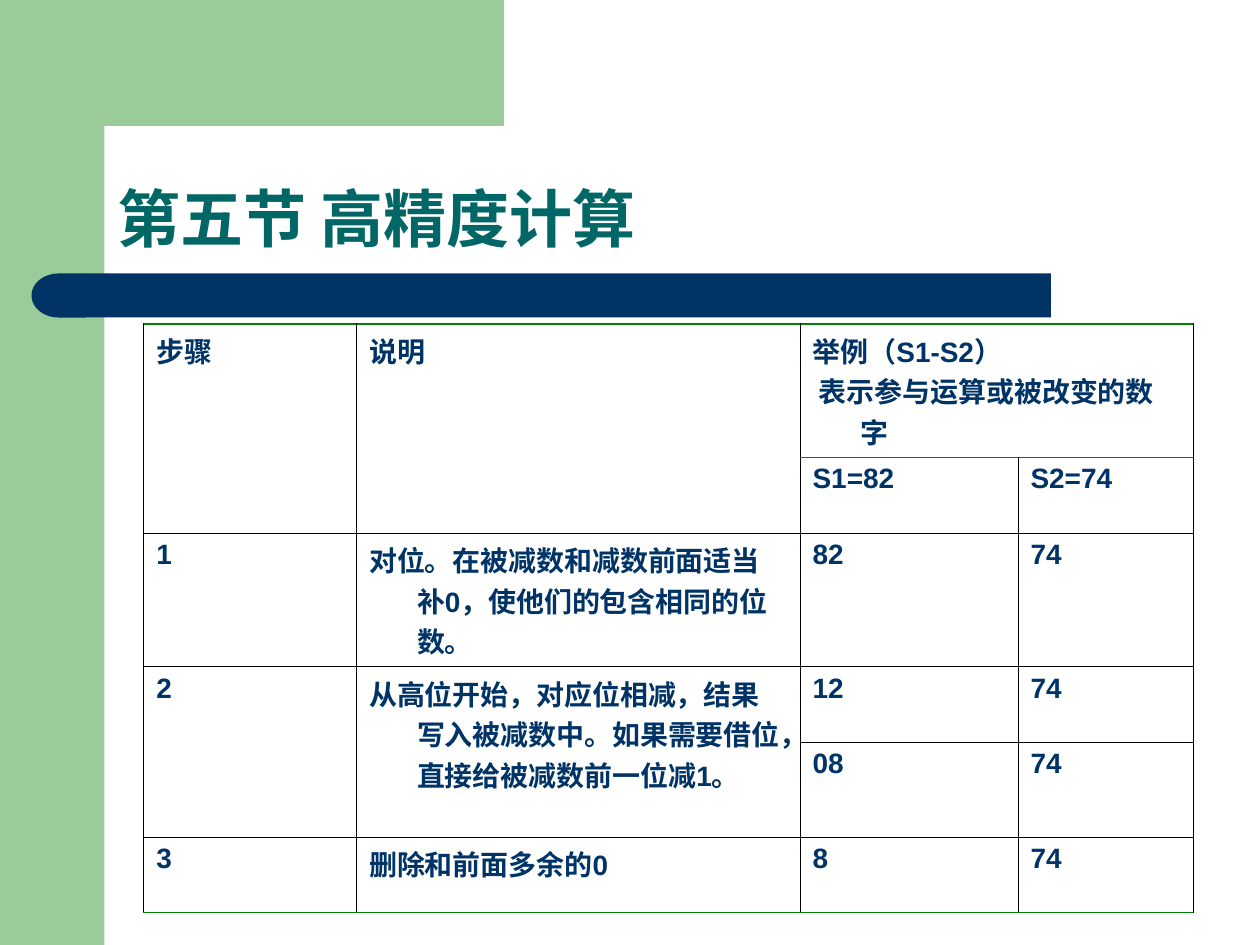
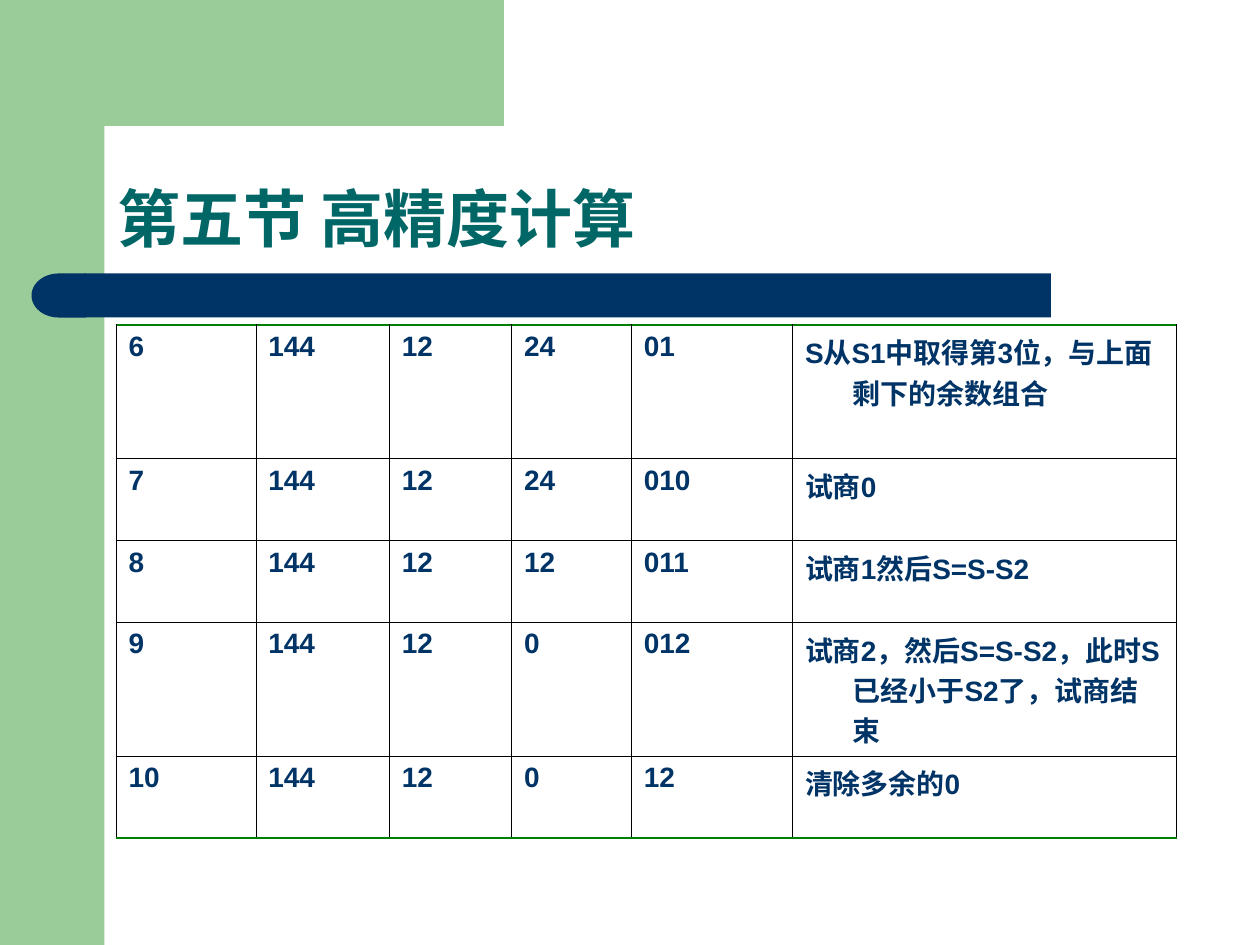
from math import cos, pi, sin

from lxml import etree
from pptx import Presentation
from pptx.dml.color import RGBColor
from pptx.enum.shapes import MSO_SHAPE
from pptx.enum.text import MSO_ANCHOR, MSO_AUTO_SIZE, PP_ALIGN
from pptx.oxml.ns import qn
from pptx.util import Inches, Pt

RECTANGLE = MSO_SHAPE.RECTANGLE
DELAY = MSO_SHAPE.FLOWCHART_DELAY
BOTTOM = MSO_ANCHOR.BOTTOM
LEFT = PP_ALIGN.LEFT
NO_AUTOFIT = MSO_AUTO_SIZE.NONE

LIGHT_GREEN = RGBColor(0x99, 0xCC, 0x99)
NAVY = RGBColor(0x00, 0x33, 0x66)
TEAL = RGBColor(0x00, 0x66, 0x66)
GREEN = RGBColor(0x00, 0x80, 0x00)
BLACK = RGBColor(0x00, 0x00, 0x00)

FONT = "Arial"
TITLE = "第五节 高精度计算"
GRID_LINE = (BLACK, 0.34)
OUTER_LINE = (GREEN, 0.96)
HEADER_LINE = (GREEN, 0.45)

SUBTRACTION_ROWS = [
    ["步骤", "说明", "举例（S1-S2）\n 表示参与运算或被改变的数字", ""],
    ["", "", "S1=82", "S2=74"],
    ["1", "对位。在被减数和减数前面适当补0，使他们的包含相同的位数。", "82", "74"],
    ["2", "从高位开始，对应位相减，结果写入被减数中。如果需要借位，直接给被减数前一位减1。",
     "12", "74"],
    ["", "", "08", "74"],
    ["3", "删除和前面多余的0", "8", "74"],
]
SUBTRACTION_MERGES = [
    ((0, 0), (1, 0)), ((0, 1), (1, 1)), ((0, 2), (0, 3)),
    ((3, 0), (4, 0)), ((3, 1), (4, 1)),
]
DIVISION_ROWS = [
    ["6", "144", "12", "24", "01", "S从S1中取得第3位，与上面剩下的余数组合"],
    ["7", "144", "12", "24", "010", "试商0"],
    ["8", "144", "12", "12", "011", "试商1然后S=S-S2"],
    ["9", "144", "12", "0", "012", "试商2，然后S=S-S2，此时S已经小于S2了，试商结束"],
    ["10", "144", "12", "0", "12", "清除多余的0"],
]


class LessonDeck:
    def __init__(self):
        self.deck = Presentation()
        self.deck.slide_width = Inches(10)
        self.deck.slide_height = Inches(7.5)
        self.page = None

    def add_page(self, title):
        self.page = self.deck.slides.add_slide(self.deck.slide_layouts[5])
        self.add_block(RECTANGLE, 0, 0, 0.83, 7.5, LIGHT_GREEN)
        self.add_corner()
        self.add_block(RECTANGLE, 0.67, 2.17, 7.67, 0.35, NAVY)
        self.add_block(DELAY, 0.25, 2.17, 0.43, 0.35, NAVY).rotation = 180
        self.add_title(title)

    def paint(self, shape, color):
        shape.shadow.inherit = False
        shape.fill.solid()
        shape.fill.fore_color.rgb = color
        shape.line.fill.background()

    def add_block(self, kind, left, top, width, height, color):
        block = self.page.shapes.add_shape(
            kind, Inches(left), Inches(top), Inches(width), Inches(height))
        self.paint(block, color)
        return block

    def add_corner(self):
        """Top band whose inner corner with the side band is a quarter circle."""
        center, radius, steps = 1.16, 0.33, 16
        angles = [pi / 2 * step / steps for step in range(steps + 1)]
        arc = [(center - radius * sin(angle), center - radius * cos(angle))
               for angle in angles]
        outline = [(3.5, 0.83), *arc, (0.83, 1.28), (0.5, 1.28), (0.5, 0)]
        builder = self.page.shapes.build_freeform(3.5, 0, scale=Inches(1))
        builder.add_line_segments(outline, close=True)
        self.paint(builder.convert_to_shape(), LIGHT_GREEN)

    def format_runs(self, para, size, color):
        for span in para.runs:
            span.font.name = FONT
            span.font.size = Pt(size)
            span.font.bold = True
            span.font.color.rgb = color

    def add_title(self, text):
        box = self.page.shapes.title
        box.left, box.top = Inches(0.83), Inches(0.83)
        box.width, box.height = Inches(8.67), Inches(1.25)
        frame = box.text_frame
        frame.text = text
        frame.auto_size = NO_AUTOFIT
        frame.vertical_anchor = BOTTOM
        para = frame.paragraphs[0]
        para.alignment = LEFT
        para.line_spacing = 0.9
        self.format_runs(para, 36, TEAL)

    def add_border(self, cell, side, line):
        color, width = line
        border = etree.SubElement(
            cell._tc.get_or_add_tcPr(), qn(f"a:ln{side}"), w=str(Pt(width)))
        fill = etree.SubElement(border, qn("a:solidFill"))
        etree.SubElement(fill, qn("a:srgbClr"), val=str(color))

    def fill_cell(self, cell, text):
        cell.text_frame.text = text
        for para in cell.text_frame.paragraphs:
            properties = para._p.get_or_add_pPr()
            properties.set("marL", str(Inches(0.38)))
            properties.set("indent", str(-Inches(0.38)))
            self.format_runs(para, 16, NAVY)

    def add_grid(self, left, top, widths, heights, rows, merges=(), header_cells=()):
        """Add a ruled table; header_cells have the header line below them."""
        frame = self.page.shapes.add_table(
            len(rows), len(widths), Inches(left), Inches(top),
            Inches(sum(widths)), Inches(sum(heights)))
        table = frame.table
        table.first_row = table.horz_banding = False
        for column, width in zip(table.columns, widths):
            column.width = Inches(width)
        for row, height in zip(table.rows, heights):
            row.height = Inches(height)

        def line_below(row, column):
            if row in (-1, len(rows) - 1):
                return OUTER_LINE
            return HEADER_LINE if (row, column) in header_cells else GRID_LINE

        for r, texts in enumerate(rows):
            for c, text in enumerate(texts):
                cell = table.cell(r, c)
                self.fill_cell(cell, text)
                self.add_border(cell, "L", GRID_LINE)
                self.add_border(cell, "R", GRID_LINE)
                self.add_border(cell, "T", line_below(r - 1, c))
                self.add_border(cell, "B", line_below(r, c))
                cell.fill.background()
        for first, last in merges:
            table.cell(*first).merge(table.cell(*last))


def main():
    lesson = LessonDeck()
    lesson.add_page(TITLE)
    lesson.add_grid(
        1.14, 2.57, [1.69, 3.52, 1.73, 1.39], [1, 0.6, 1, 0.6, 0.75, 0.6],
        SUBTRACTION_ROWS, SUBTRACTION_MERGES, header_cells=[(0, 2), (0, 3)])
    lesson.add_page(TITLE)
    lesson.add_grid(
        0.92, 2.58, [1.11, 1.06, 0.97, 0.95, 1.28, 3.05],
        [1.06, 0.65, 0.65, 1.06, 0.65], DIVISION_ROWS)
    lesson.deck.save("out.pptx")


if __name__ == "__main__":
    main()
